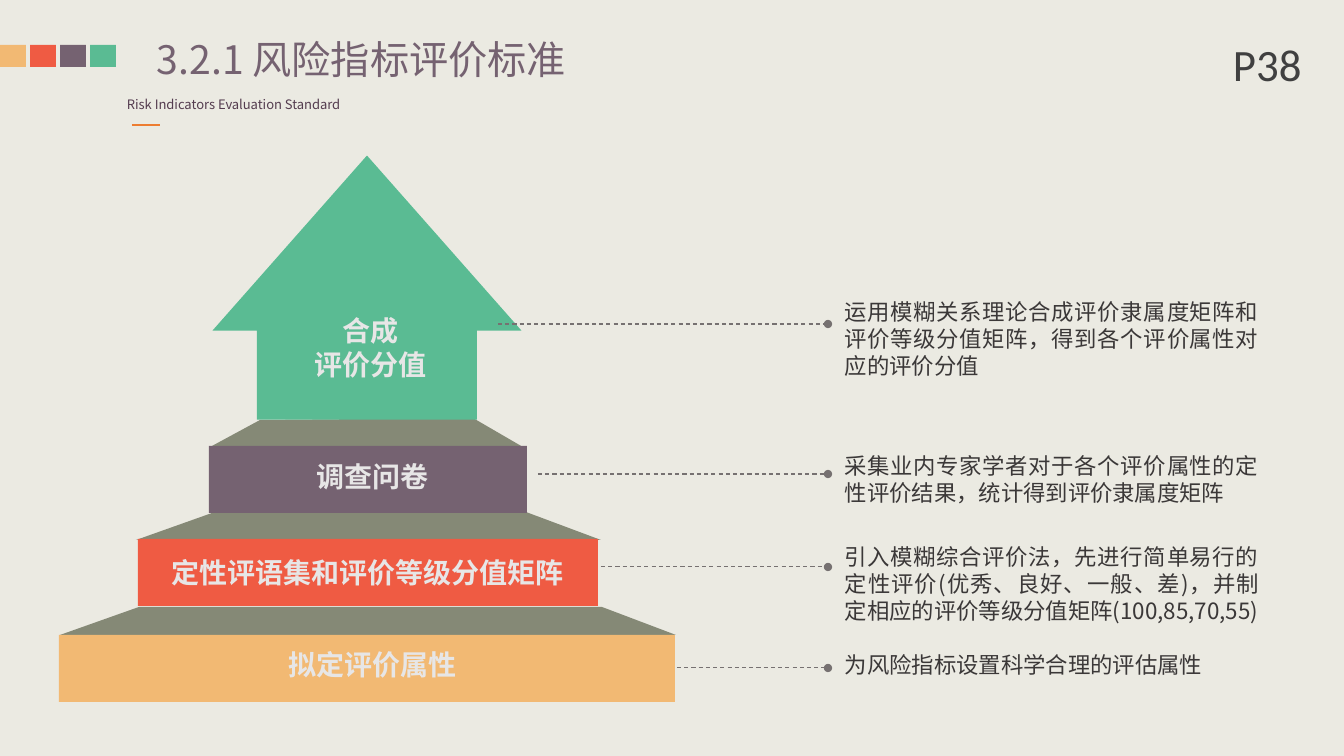
from dataclasses import dataclass

import pptx
import pptx.dml.color
import pptx.enum.dml
import pptx.enum.shapes
import pptx.enum.text
import pptx.oxml
import pptx.oxml.ns
import pptx.util

SHAPE = pptx.enum.shapes.MSO_SHAPE
ALIGN = pptx.enum.text.PP_ALIGN
EMU_PER_PX = 914400 / 100.8


@dataclass(frozen=True)
class Theme:
    background: str = "EBEAE2"
    orange: str = "F2B973"
    red: str = "EF5B43"
    purple: str = "756271"
    green: str = "5ABB93"
    step: str = "858976"
    accent: str = "ED7D31"
    subtitle: str = "543C4F"
    leader: str = "767171"
    label: str = "E7E6E6"
    body: str = "3B3838"
    page: str = "404040"
    font: str = "Noto Sans CJK SC"
    page_font: str = "Calibri"
    title_size: float = 28
    subtitle_size: float = 9.3
    label_size: float = 20
    body_size: float = 16
    page_size: float = 32


def px(n):
    return pptx.util.Emu(round(n * EMU_PER_PX))


def rgb(value):
    return pptx.dml.color.RGBColor.from_string(value)


class Deck:
    def __init__(self, theme):
        self.theme = theme
        self.prs = pptx.Presentation()
        self.prs.slide_width, self.prs.slide_height = px(1344), px(756)
        self.slide = self.prs.slides.add_slide(self.prs.slide_layouts[6])
        fill = self.slide.background.fill
        fill.solid()
        fill.fore_color.rgb = rgb(theme.background)

    def paint(self, sp, color):
        sp.shadow.inherit = False
        sp.fill.solid()
        sp.fill.fore_color.rgb = rgb(color)
        sp.line.fill.background()

    def shape(self, kind, x, y, w, h, color):
        sp = self.slide.shapes.add_shape(kind, px(x), px(y), px(w), px(h))
        self.paint(sp, color)
        return sp

    def polygon(self, points, color):
        first, *rest = points
        builder = self.slide.shapes.build_freeform(*first, scale=EMU_PER_PX)
        builder.add_line_segments(rest, close=True)
        self.paint(builder.convert_to_shape(), color)

    def line(self, x1, x2, y, color, width, leader=False):
        cn = self.slide.shapes.add_connector(
            pptx.enum.shapes.MSO_CONNECTOR.STRAIGHT, px(x1), px(y), px(x2), px(y))
        cn.line.color.rgb = rgb(color)
        cn.line.width = pptx.util.Pt(width)
        if leader:
            cn.line.dash_style = pptx.enum.dml.MSO_LINE.DASH
            ln = cn.line._get_or_add_ln()
            ln.append(pptx.oxml.parse_xml(
                f'<a:tailEnd {pptx.oxml.ns.nsdecls("a")} type="oval"/>'))
        cn._element.spPr.append(pptx.oxml.parse_xml(
            f'<a:effectLst {pptx.oxml.ns.nsdecls("a")}/>'))

    def text(self, words, x, y, w, h, size, color, font=None,
             align=ALIGN.LEFT, bold=False, wrap=True, inset=True):
        font = font or self.theme.font
        tf = self.slide.shapes.add_textbox(px(x), px(y), px(w), px(h)).text_frame
        tf.word_wrap = wrap
        if not inset:
            tf.margin_left = tf.margin_right = tf.margin_top = tf.margin_bottom = 0
        tf.text = words
        for p in tf.paragraphs:
            p.alignment = align
            for r in p.runs:
                r.font.size = pptx.util.Pt(size)
                r.font.bold = bold
                r.font.name = font
                r.font.color.rgb = rgb(color)
                r._r.get_or_add_rPr().append(pptx.oxml.parse_xml(
                    f'<a:ea {pptx.oxml.ns.nsdecls("a")} typeface="{font}"/>'))


def main():
    theme = Theme()
    deck = Deck(theme)

    for i, color in enumerate((theme.orange, theme.red, theme.purple, theme.green)):
        deck.shape(SHAPE.RECTANGLE, 30 * i, 45, 26, 22, color)
    deck.text("3.2.1 风险指标评价标准", 157, 35, 427, 47,
              theme.title_size, theme.purple, inset=False)
    deck.text("Risk Indicators Evaluation Standard", 117, 92, 243, 26,
              theme.subtitle_size, theme.subtitle, wrap=False)
    deck.line(132, 160, 125, theme.accent, 1.5)
    deck.text("P38", 1223, 32, 93, 65, theme.page_size, theme.page, theme.page_font)

    for points in (
        ((139, 607), (602, 607), (676, 635), (60, 635)),
        ((212, 513), (526, 512), (601, 540), (136, 540)),
        ((260, 420), (473, 418), (523, 447), (210, 447)),
    ):
        deck.polygon(points, theme.step)

    arrow = deck.shape(SHAPE.RIGHT_ARROW, 235, 133, 264, 309, theme.green)
    arrow.rotation = 270
    arrow.adjustments[0], arrow.adjustments[1] = 0.712, 0.663

    for x, y, w, color in (
        (209, 446, 318, theme.purple),
        (138, 539, 460, theme.red),
        (59, 635, 616, theme.orange),
    ):
        deck.shape(SHAPE.RECTANGLE, x, y, w, 67, color)

    for words, x, y, w, h in (
        ("合成\n评价分值", 271, 309, 200, 78),
        ("调查问卷", 273, 455, 200, 44),
        ("定性评语集和评价等级分值矩阵", 161, 551, 413, 44),
        ("拟定评价属性", 273, 643, 200, 44),
    ):
        deck.text(words, x, y, w, h, theme.label_size, theme.label,
                  align=ALIGN.CENTER, bold=True)

    for words, start, line_y, y, w, h in (
        ("运用模糊关系理论合成评价隶属度矩阵和评价等级分值矩阵，得到各个评价属性对应的评价分值",
         498, 324, 293, 434, 92),
        ("采集业内专家学者对于各个评价属性的定性评价结果，统计得到评价隶属度矩阵",
         538, 474, 447, 434, 65),
        ("引入模糊综合评价法，先进行简单易行的定性评价(优秀、良好、一般、差)，并制定相应的评价等级分值矩阵(100,85,70,55)",
         601, 567, 538, 434, 92),
        ("为风险指标设置科学合理的评估属性", 677, 668, 646, 386, 37),
    ):
        deck.line(start, 828, line_y, theme.leader, 0.75, leader=True)
        deck.text(words, 835, y, w, h, theme.body_size, theme.body, align=ALIGN.JUSTIFY)

    deck.prs.save("out.pptx")


if __name__ == "__main__":
    main()
